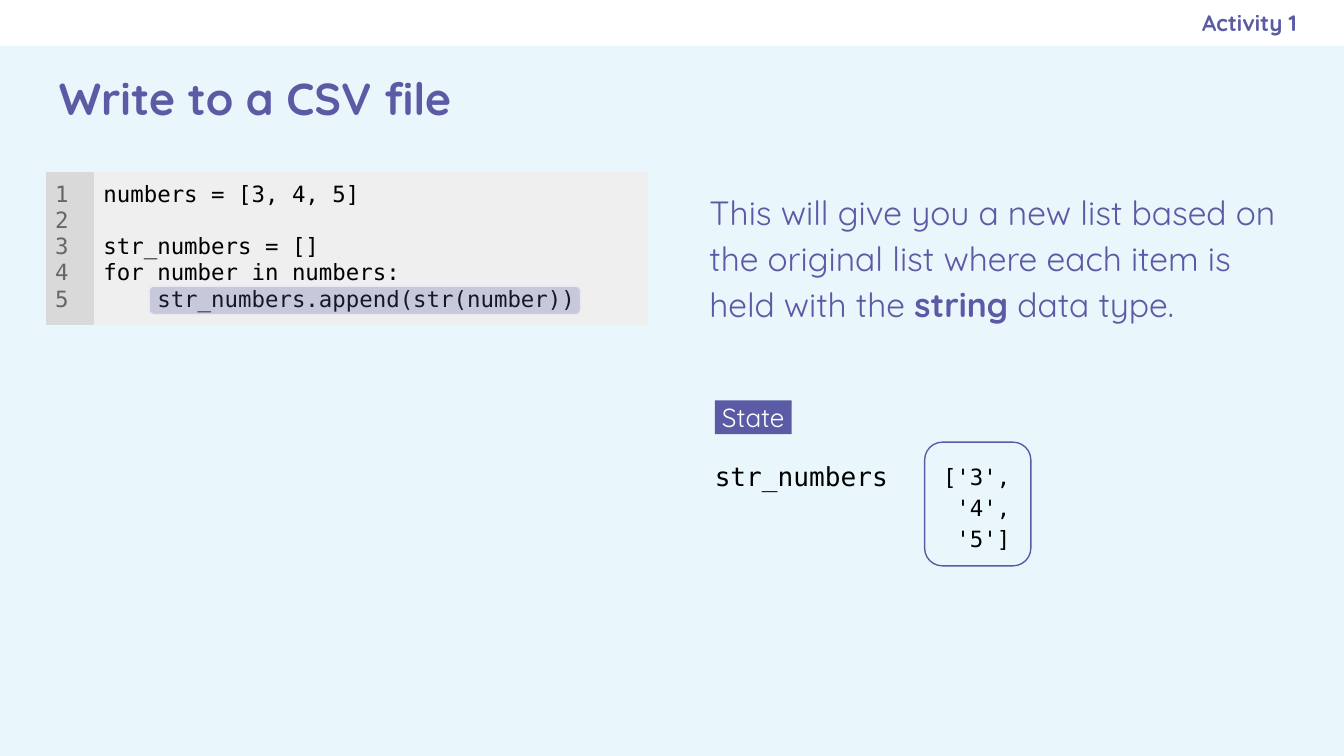
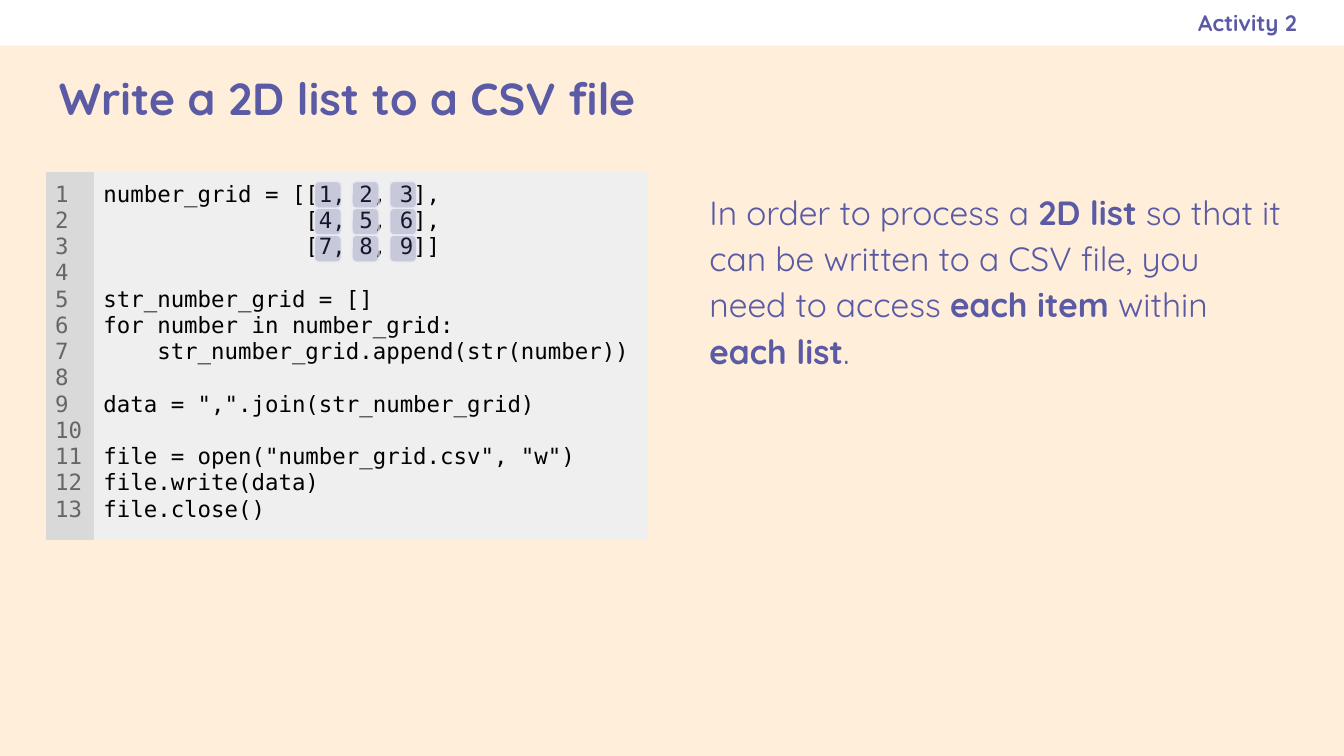
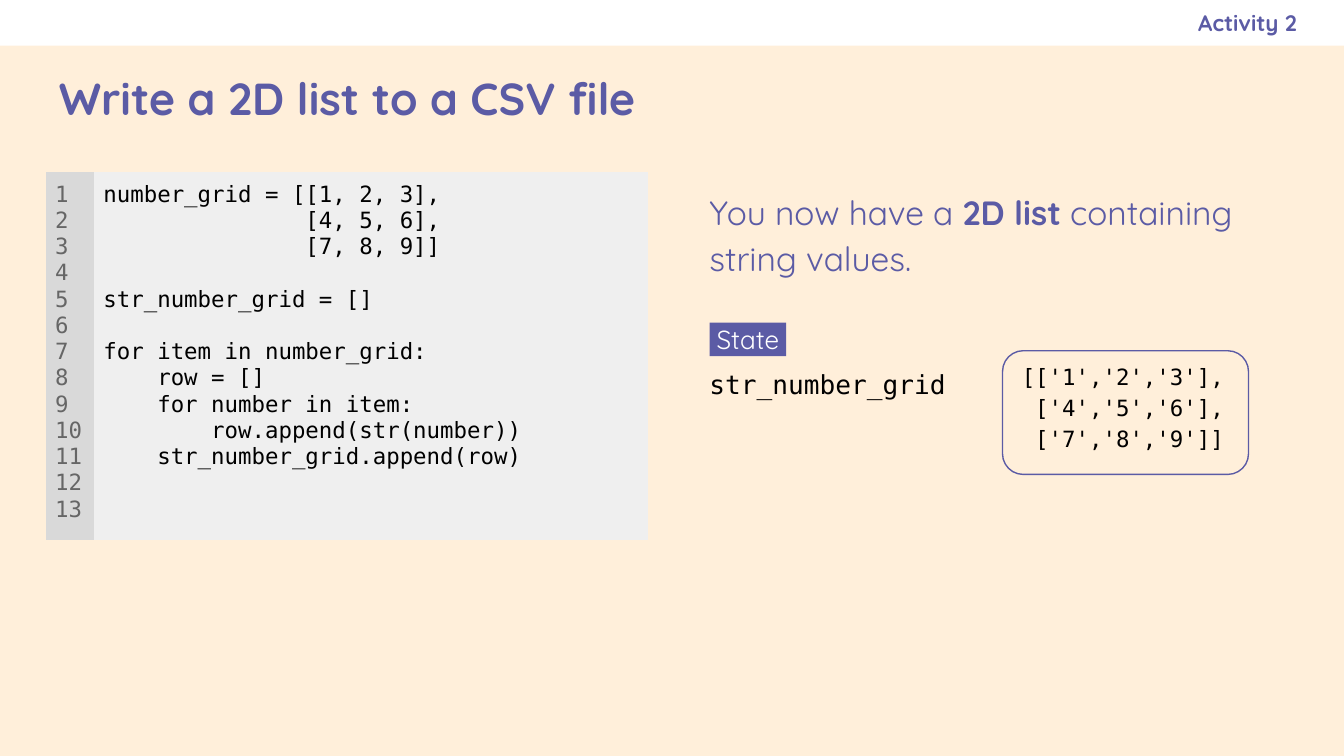
from lxml import etree
from pptx import Presentation
from pptx.dml.color import RGBColor
from pptx.enum import shapes, text
from pptx.oxml.ns import qn
from pptx.util import Inches, Pt

COLORS = {
    "purple": "5B5BA5", "white": "FFFFFF", "black": "000000",
    "blue_page": "E9F7FC", "orange_page": "FFEFDA",
    "gutter": "D9D9D9", "line_number": "666666",
    "code": "EFEFEF", "highlight_edge": "E9E9F3",
}
SANS, MONO = "Quicksand", "DejaVu Sans Mono"
NO_GRID_STYLE = "{2D5ABB26-0587-4C30-8999-92F81FD0307C}"
CODE_LEFT, CODE_TOP, CODE_MARGIN, CODE_LINE = 0.34, 1.28, 0.07, 0.195
GUTTER_WIDTH, CODE_WIDTH = 0.36, 4.12
RECTANGLE = shapes.MSO_SHAPE.RECTANGLE
ROUNDED = shapes.MSO_SHAPE.ROUNDED_RECTANGLE
MIDDLE, TOP = text.MSO_ANCHOR.MIDDLE, text.MSO_ANCHOR.TOP
LEFT, CENTER, RIGHT = text.PP_ALIGN.LEFT, text.PP_ALIGN.CENTER, text.PP_ALIGN.RIGHT


def rgb(name):
    return RGBColor.from_string(COLORS[name])


class Deck:
    def __init__(self):
        self.presentation = Presentation()
        self.presentation.slide_width = Inches(10)
        self.presentation.slide_height = Inches(5.625)
        self.slide = None

    def new_slide(self, page_color, title, activity):
        self.slide = self.presentation.slides.add_slide(
            self.presentation.slide_layouts[6])
        background = self.slide.background.fill
        background.solid()
        background.fore_color.rgb = rgb(page_color)
        self.shape((0, 0, 10, 0.34), "white")
        self.text_box((0.34, 0.35, 9.32, 0.76), title, 24, bold=True, anchor=MIDDLE)
        self.text_box((5.75, 0, 3.9, 0.34), activity, 12, bold=True, anchor=MIDDLE,
                      align=RIGHT, margins=(0.1, 0.1, 0, 0.1))

    def fill_text(self, frame, lines, size, font=SANS, color="purple", bold=False,
                  spacing=1, align=LEFT):
        """Fill a text frame; parts between ** marks become bold."""
        for index, line in enumerate(lines):
            paragraph = frame.paragraphs[0] if index == 0 else frame.add_paragraph()
            paragraph.alignment = align
            paragraph.line_spacing = spacing
            if not line:
                end = etree.SubElement(paragraph._p, qn("a:endParaRPr"), sz=str(size * 100))
                etree.SubElement(end, qn("a:latin"), typeface=font)
                continue
            for position, part in enumerate(line.split("**")):
                if not part:
                    continue
                run = paragraph.add_run()
                run.text = part
                run.font.size = Pt(size)
                run.font.name = font
                run.font.bold = bold or position % 2 == 1
                run.font.color.rgb = rgb(color)

    def set_frame(self, frame, anchor, margins):
        frame.word_wrap = True
        frame.vertical_anchor = anchor
        (frame.margin_left, frame.margin_top,
         frame.margin_right, frame.margin_bottom) = map(Inches, margins)

    def text_box(self, box, content, size, anchor=TOP, margins=(0.1,) * 4, **style):
        frame = self.slide.shapes.add_textbox(*map(Inches, box)).text_frame
        self.set_frame(frame, anchor, margins)
        self.fill_text(frame, [content], size, **style)

    def shape(self, box, fill=None, line=None, kind=RECTANGLE):
        shape = self.slide.shapes.add_shape(kind, *map(Inches, box))
        shape.shadow.inherit = False
        if fill:
            shape.fill.solid()
            shape.fill.fore_color.rgb = rgb(fill)
        else:
            shape.fill.background()
        if line:
            shape.line.color.rgb = rgb(line)
            shape.line.width = Pt(0.75)
        else:
            shape.line.fill.background()
        return shape

    def highlight(self, box):
        shape = self.shape(box, "purple", "highlight_edge", ROUNDED)
        color = shape._element.spPr.find(qn("a:solidFill")).find(qn("a:srgbClr"))
        etree.SubElement(color, qn("a:alpha"), val="26000")

    def code(self, source, line_count):
        """Draw a listing with numbered lines."""
        height = line_count * CODE_LINE + 2 * CODE_MARGIN
        table = self.slide.shapes.add_table(
            1, 2, Inches(CODE_LEFT), Inches(CODE_TOP),
            Inches(GUTTER_WIDTH + CODE_WIDTH), Inches(height)).table
        table.first_row = table.horz_banding = False
        table._tbl.tblPr.find(qn("a:tableStyleId")).text = NO_GRID_STYLE
        numbers = [str(number + 1) for number in range(line_count)]
        columns = [(GUTTER_WIDTH, numbers, "gutter", "line_number"),
                   (CODE_WIDTH, source.split("\n"), "code", "black")]
        for index, (width, lines, fill, color) in enumerate(columns):
            table.columns[index].width = Inches(width)
            cell = table.cell(0, index)
            cell.margin_left = cell.margin_right = Inches(CODE_MARGIN)
            cell.margin_top = cell.margin_bottom = Inches(CODE_MARGIN)
            cell.fill.solid()
            cell.fill.fore_color.rgb = rgb(fill)
            self.fill_text(cell.text_frame, lines, 12, MONO, color)

    def explanation(self, content):
        self.text_box((5.18, 1.28, 4.48, 4), content, 18, spacing=1.15)

    def state(self, left, tag_top, name, name_box, value_box, value, anchor):
        """Show a variable's name and value under a State tag."""
        tag = self.shape((left + 0.1, tag_top, 0.57, 0.25), "purple")
        self.set_frame(tag.text_frame, MIDDLE, (0,) * 4)
        self.fill_text(tag.text_frame, ["State"], 14, color="white", align=CENTER)
        top, width = name_box
        self.text_box((left, top, width, 0.4), name, 14, font=MONO,
                      color="black", spacing=1.15)
        value_left, value_width = value_box
        shape = self.shape((value_left, top, value_width, 0.92), line="purple",
                           kind=ROUNDED)
        self.set_frame(shape.text_frame, anchor, (0.1, 0.02, 0.1, 0))
        self.fill_text(shape.text_frame, value.split("\n"), 12, MONO, "black",
                       spacing=1.15)


NUMBER_GRID = """number_grid = [[1, 2, 3],
               [4, 5, 6],
               [7, 8, 9]]

str_number_grid = []
"""


def string_list_slide(deck):
    deck.new_slide("blue_page", "Write to a CSV file", "Activity 1")
    deck.code("""numbers = [3, 4, 5]

str_numbers = []
for number in numbers:
    str_numbers.append(str(number))""", 5)
    deck.highlight((1.11, 2.13, 3.21, 0.21))
    deck.explanation("This will give you a new list based on the original list "
                     "where each item is held with the **string** data type.")
    deck.state(5.22, 2.98, "str_numbers", (3.29, 1.57), (6.88, 0.79),
               "['3',\n '4',\n '5']", MIDDLE)


def grid_items_slide(deck):
    deck.new_slide("orange_page", "Write a 2D list to a CSV file", "Activity 2")
    deck.explanation("In order to process a **2D list** so that it can be written to a "
                     "CSV file, you need to access **each item** within **each list**.")
    deck.code(NUMBER_GRID + """for number in number_grid:
    str_number_grid.append(str(number))

data = ",".join(str_number_grid)

file = open("number_grid.csv", "w")
file.write(data)
file.close()""", 13)
    for row in range(3):
        for column in range(3):
            deck.highlight((2.34 + 0.28 * column, 1.35 + 0.2 * row, 0.2, 0.2))


def string_grid_slide(deck):
    deck.new_slide("orange_page", "Write a 2D list to a CSV file", "Activity 2")
    deck.code(NUMBER_GRID + """
for item in number_grid:
    row = []
    for number in item:
        row.append(str(number))
    str_number_grid.append(row)""", 13)
    deck.state(5.18, 2.4, "str_number_grid", (2.61, 2.15), (7.46, 1.83),
               "[['1','2','3'],\n ['4','5','6'],\n ['7','8','9']]", TOP)
    deck.explanation("You now have a **2D list** containing string values.")


def main():
    deck = Deck()
    string_list_slide(deck)
    grid_items_slide(deck)
    string_grid_slide(deck)
    deck.presentation.save("out.pptx")


if __name__ == "__main__":
    main()
